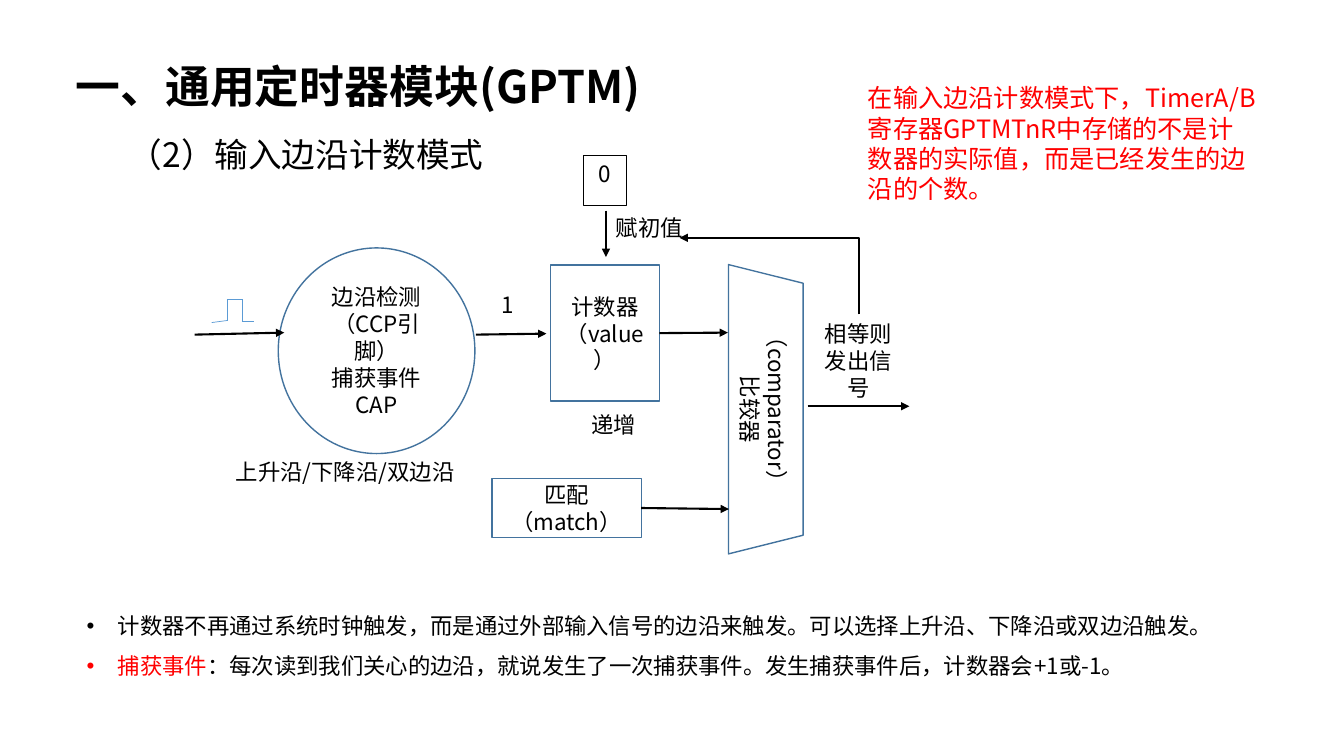
from lxml import etree
from pptx import Presentation
from pptx.dml.color import RGBColor
from pptx.enum.shapes import MSO_CONNECTOR, MSO_SHAPE
from pptx.enum.text import MSO_ANCHOR, MSO_AUTO_SIZE, PP_ALIGN
from pptx.oxml.ns import qn
from pptx.util import Emu, Pt

STRAIGHT, ELBOW = MSO_CONNECTOR.STRAIGHT, MSO_CONNECTOR.ELBOW
RECT, OVAL, TRAPEZOID = MSO_SHAPE.RECTANGLE, MSO_SHAPE.OVAL, MSO_SHAPE.TRAPEZOID
TOP, MIDDLE = MSO_ANCHOR.TOP, MSO_ANCHOR.MIDDLE
LEFT, CENTER, JUSTIFY = PP_ALIGN.LEFT, PP_ALIGN.CENTER, PP_ALIGN.JUSTIFY
FIXED = MSO_AUTO_SIZE.NONE
FONT = "Noto Sans CJK SC"
BLACK, RED, WHITE, OUTLINE, PULSE = "000000", "FF0000", "FFFFFF", "43739E", "5B9BD5"
RIGHT_SIDE = 3


def px(*lengths):
    """Turn px lengths, 100 to the inch, into EMU."""
    return [Emu(length * 9144) for length in lengths]


def rgb(code):
    """Turn a hex string into a colour."""
    return RGBColor.from_string(code)


def write(holder, text, size=16, color=BLACK, bold=False, align=CENTER,
          anchor=TOP, spacing=1.0, lead=""):
    """Fill a holder with paragraphs, colouring the lead words red."""
    frame = holder.text_frame
    frame.word_wrap = True
    frame.auto_size = FIXED
    frame.vertical_anchor = anchor
    for number, line in enumerate(text.split("\n")):
        paragraph = frame.paragraphs[0] if number == 0 else frame.add_paragraph()
        paragraph.alignment = align
        paragraph.line_spacing = spacing
        paragraph.space_before = Pt(0)
        head = lead if lead and line.startswith(lead) else ""
        for part, tone in ((head, RED), (line[len(head):], color)):
            if part:
                run = paragraph.add_run()
                run.text = part
                run.font.size = Pt(size)
                run.font.bold = bold
                run.font.name = FONT
                run.font.color.rgb = rgb(tone)
                east_asian = etree.SubElement(run.font._element, qn("a:ea"))
                east_asian.set("typeface", FONT)


def place(holder, *box):
    """Move a placeholder to a box."""
    holder.left, holder.top, holder.width, holder.height = px(*box)


def label(slide, text, box, **style):
    """Add a text box."""
    write(slide.shapes.add_textbox(*px(*box)), text, **style)


def block(slide, kind, text, box, fill=None, line=OUTLINE, weight=1, turn=0, anchor=MIDDLE):
    """Add an outlined shape with centred text."""
    shape = slide.shapes.add_shape(kind, *px(*box))
    shape.shadow.inherit = False
    shape.rotation = turn
    if fill:
        shape.fill.solid()
        shape.fill.fore_color.rgb = rgb(fill)
    else:
        shape.fill.background()
    shape.line.color.rgb = rgb(line)
    shape.line.width = Pt(weight)
    write(shape, text, anchor=anchor)
    return shape


def wire(slide, start, end, color=BLACK, weight=1.5, arrow=True, kind=STRAIGHT, source=None):
    """Add a connector, leaving the right side of its source if there is one."""
    connector = slide.shapes.add_connector(kind, *px(*start, *end))
    if source is not None:
        connector.begin_connect(source, RIGHT_SIDE)
    connector.line.color.rgb = rgb(color)
    connector.line.width = Pt(weight)
    if arrow:
        etree.SubElement(connector.line._get_or_add_ln(), qn("a:tailEnd")).set("type", "triangle")
    etree.SubElement(connector._element.spPr, qn("a:effectLst"))
    return connector


def feedback(slide, start, end):
    """Add a one-corner arrow that goes up, then left."""
    middle_x, middle_y = (start[0] + end[0]) // 2, (start[1] + end[1]) // 2
    half_rise, half_run = (start[1] - end[1]) // 2, (start[0] - end[0]) // 2
    connector = wire(slide, (middle_x - half_rise, middle_y + half_run),
                     (middle_x + half_rise, middle_y - half_run), kind=ELBOW)
    properties = connector._element.spPr
    properties.find(qn("a:xfrm")).set("rot", str(270 * 60000))
    properties.find(qn("a:prstGeom")).set("prst", "bentConnector2")


def headings(slide):
    """Write the title, the subtitle and the red remark."""
    title = slide.shapes.title
    place(title, 65, 53, 640, 64)
    write(title, "一、通用定时器模块(GPTM)", size=32, bold=True, align=LEFT)
    label(slide, "（2）输入边沿计数模式", (118, 128, 406, 50), size=24, align=LEFT)
    label(slide, "在输入边沿计数模式下，TimerA/B寄存器GPTMTnR中存储的不是计数器的实际值，"
          "而是已经发生的边沿的个数。", (851, 77, 405, 131), size=18, color=RED, align=LEFT)


def notes_list(slide):
    """Write the bulleted explanation in the body placeholder."""
    body = slide.placeholders[1]
    place(body, 76, 589, 1156, 91)
    write(body, "计数器不再通过系统时钟触发，而是通过外部输入信号的边沿来触发。"
          "可以选择上升沿、下降沿或双边沿触发。\n"
          "捕获事件：每次读到我们关心的边沿，就说发生了一次捕获事件。"
          "发生捕获事件后，计数器会+1或-1。", align=LEFT, spacing=1.5, lead="捕获事件")
    indent, = px(31)
    for paragraph in body.text_frame.paragraphs:
        properties = paragraph._p.get_or_add_pPr()
        properties.set("marL", str(indent))
        properties.set("indent", str(-indent))


def diagram(slide):
    """Draw the edge-count block diagram."""
    counter = block(slide, RECT, "计数器\n（value）", (546, 263, 108, 135))
    block(slide, TRAPEZOID, "（comparator）\n比较器", (616, 369, 287, 74), turn=90)
    match = block(slide, RECT, "匹配（match）", (488, 475, 148, 58))
    block(slide, OVAL, "边沿检测（CCP引脚）\n捕获事件CAP", (276, 246, 195, 204))
    block(slide, RECT, "0", (579, 154, 42, 50), fill=WHITE, line=BLACK, weight=0.5, anchor=TOP)

    label(slide, "递增", (567, 393, 83, 56), anchor=MIDDLE)
    label(slide, "相等则\n发出信号", (801, 313, 101, 91))
    label(slide, "1", (488, 284, 30, 56), align=JUSTIFY)
    label(slide, "上升沿/下降沿/双边沿", (224, 450, 247, 50), align=JUSTIFY)
    label(slide, "赋初值", (601, 207, 92, 55), align=JUSTIFY)

    wire(slide, (193, 332), (282, 330))
    wire(slide, (472, 332), (542, 331))
    wire(slide, (601, 209), (601, 255))
    wire(slide, (801, 403), (902, 403))
    wire(slide, (654, 330), (722, 330), source=counter)
    wire(slide, (636, 504), (723, 505), source=match)
    feedback(slide, (853, 313), (674, 236))

    pulse = [(210, 320), (225, 318), (225, 297), (240, 297), (240, 319), (252, 319)]
    for start, end in zip(pulse, pulse[1:]):
        wire(slide, start, end, color=PULSE, weight=0.5, arrow=False)


def main():
    """Build and save the slide."""
    presentation = Presentation()
    presentation.slide_width, presentation.slide_height = px(1333, 750)
    slide = presentation.slides.add_slide(presentation.slide_layouts[1])
    headings(slide)
    notes_list(slide)
    diagram(slide)
    presentation.save("out.pptx")


if __name__ == "__main__":
    main()
